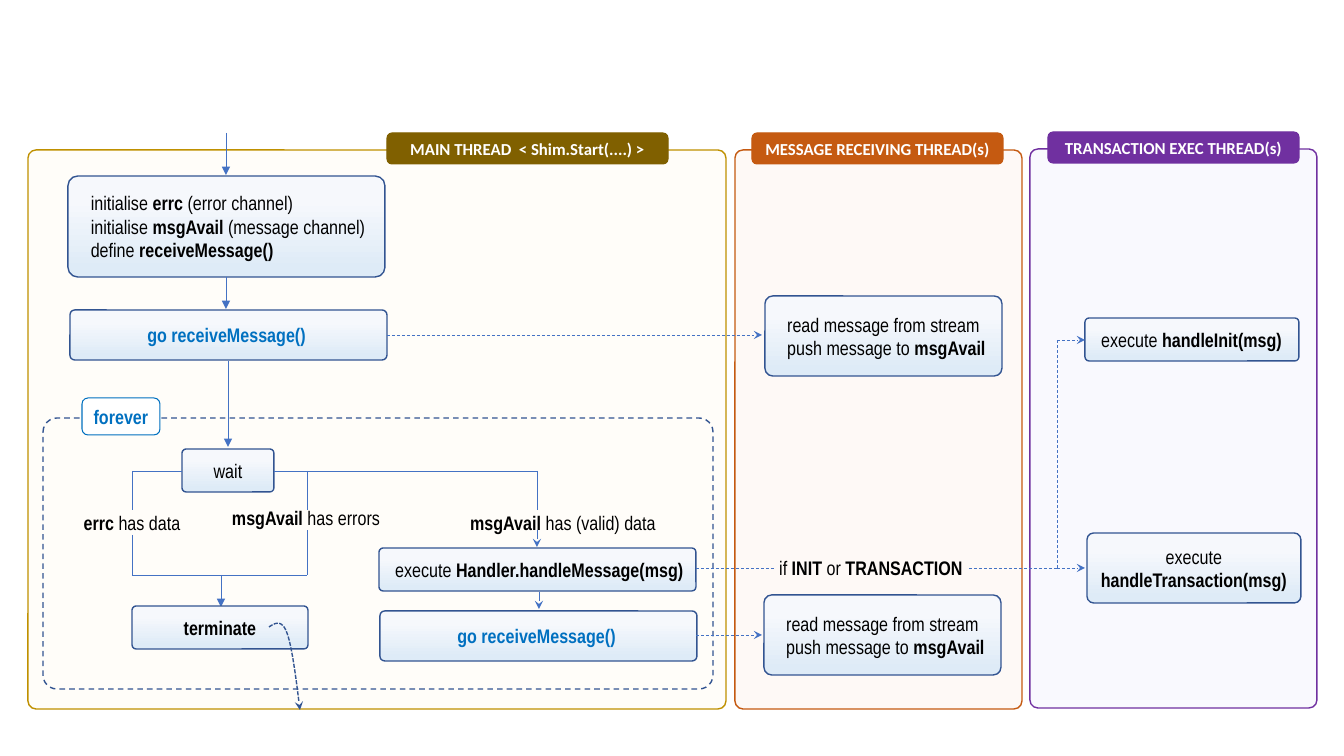
from dataclasses import dataclass

from lxml import etree
from pptx import Presentation
from pptx.dml.color import RGBColor
from pptx.enum.dml import MSO_LINE
from pptx.enum.shapes import MSO_CONNECTOR, MSO_SHAPE
from pptx.enum.text import MSO_ANCHOR, PP_ALIGN
from pptx.oxml.ns import qn
from pptx.util import Emu, Pt

ROUNDED = MSO_SHAPE.ROUNDED_RECTANGLE
STRAIGHT = MSO_CONNECTOR.STRAIGHT
DASH, FINE_DASH = MSO_LINE.DASH, MSO_LINE.SQUARE_DOT
LEFT, CENTER, MIDDLE = PP_ALIGN.LEFT, PP_ALIGN.CENTER, MSO_ANCHOR.MIDDLE
EMU_PER_PX = 914400 / 100.8


@dataclass(frozen=True)
class Theme:
    body_font: str = "Arial Narrow"
    tab_font: str = "Calibri"
    body_size: int = 14
    tab_size: int = 12
    ink: str = "000000"
    white: str = "FFFFFF"
    accent: str = "0070C0"
    flow: str = "4472C4"
    outline: str = "325491"
    step_stops: tuple = ((0.24, "F6F8FC"), (0.92, "DEEBF7"))
    main: tuple = ("FFF2CC", "BF9000", "806000")
    receiving: tuple = ("F8CBAD", "C55A11", "C55A11")
    transaction: tuple = ("C5C8F7", "7030A0", "7030A0")


THEME = Theme()
READ_MESSAGE = ("read message from stream", "push message to **msgAvail**")


def px(length):
    return Emu(round(length * EMU_PER_PX))


def rgb(value):
    return RGBColor.from_string(value)


def style_line(line, color, width, dash=None):
    line.color.rgb = rgb(color)
    line.width = Pt(width)
    if dash:
        line.dash_style = dash


def add_arrowhead(shape, kind):
    etree.SubElement(shape.line._get_or_add_ln(), qn("a:tailEnd"), type=kind)


def write(shape, lines, color, align=CENTER, text_left=0, font=THEME.body_font,
          size=THEME.body_size):
    """Fill a shape with lines of text; parts between ** are bold."""
    frame = shape.text_frame
    frame.word_wrap = True
    frame.vertical_anchor = MIDDLE
    frame.margin_left = px(text_left)
    frame.margin_right = frame.margin_top = frame.margin_bottom = 0
    for index, line in enumerate(lines):
        paragraph = frame.paragraphs[0] if index == 0 else frame.add_paragraph()
        paragraph.alignment = align
        paragraph.font.name = font
        paragraph.font.size = Pt(size)
        paragraph.font.color.rgb = rgb(color)
        for part, words in enumerate(line.split("**")):
            if words:
                run = paragraph.add_run()
                run.text = words
                run.font.bold = part % 2 == 1


class Region:
    """Draws parts at px offsets from the top left corner of its box."""

    def __init__(self, slide, box):
        self.shapes = slide.shapes
        self.left, self.top, self.width, self.height = box

    def place(self, x, y):
        return px(self.left + x), px(self.top + y)

    def rounded(self, box, radius, color, width=1, fill=None, dash=None):
        x, y, w, h = box
        shape = self.shapes.add_shape(ROUNDED, *self.place(x, y), px(w), px(h))
        shape.shadow.inherit = False
        shape.adjustments[0] = radius / min(w, h)
        style_line(shape.line, color, width, dash)
        if fill:
            shape.fill.solid()
            shape.fill.fore_color.rgb = rgb(fill)
        else:
            shape.fill.background()
        return shape

    def panel(self, title, colors, tab_x, tab_width):
        tint, border, tab_color = colors
        back = self.rounded((0, 0, self.width, self.height), 8, border, fill=tint)
        color = back.fill._xPr.find(qn("a:solidFill"))[0]
        etree.SubElement(color, qn("a:alpha"), val="10000")
        tab = self.rounded((tab_x, -17, tab_width, 31), 5, tab_color, 0.75, tab_color)
        write(tab, [f"**{title}**"], THEME.white, font=THEME.tab_font, size=THEME.tab_size)

    def step(self, box, lines, text_left=None, color=THEME.ink):
        """A gradient box; its text is centred unless text_left is given."""
        shape = self.rounded(box, 0.096 * box[3], THEME.outline)
        shape.fill.gradient()
        shape.fill.gradient_angle = 270
        for stop, (position, stop_color) in zip(shape.fill.gradient_stops, THEME.step_stops):
            stop.position = position
            stop.color.rgb = rgb(stop_color)
        if text_left is None:
            write(shape, lines, color)
        else:
            write(shape, lines, color, LEFT, text_left)

    def label(self, box, text):
        x, y, w, h = box
        write(self.shapes.add_textbox(*self.place(x, y), px(w), px(h)), [text], THEME.ink)

    def route(self, *points, head=None, dash=None):
        """Join the points by straight lines, with any arrowhead at the last."""
        for start, end in zip(points, points[1:]):
            connector = self.shapes.add_connector(
                STRAIGHT, *self.place(*start), *self.place(*end))
            style_line(connector.line, THEME.flow, 0.5, dash)
            etree.SubElement(connector._element.spPr, qn("a:effectLst"))
        if head:
            add_arrowhead(connector, head)

    def curve(self, points, samples=12):
        """Draw chained cubic Bezier curves as a dashed arrow."""
        builder = self.shapes.build_freeform(*self.place(*points[0]), scale=1.0)
        vertices = []
        for first in range(0, len(points) - 1, 3):
            controls = points[first:first + 4]
            for sample in range(1, samples + 1):
                t = sample / samples
                weights = ((1 - t) ** 3, 3 * t * (1 - t) ** 2, 3 * t * t * (1 - t), t ** 3)
                vertices.append(self.place(*(
                    sum(weight * point[axis] for weight, point in zip(weights, controls))
                    for axis in (0, 1))))
        builder.add_line_segments(vertices, close=False)
        shape = builder.convert_to_shape()
        shape.shadow.inherit = False
        shape.fill.background()
        style_line(shape.line, THEME.outline, 1, FINE_DASH)
        add_arrowhead(shape, "stealth")


def main_thread(slide, box):
    region = Region(slide, box)
    region.panel("MAIN THREAD  < Shim.Start(....) >", THEME.main, 359, 281)
    region.route((198, -17), (198, 25), head="triangle")
    region.step((40, 26, 317, 101), (
        "initialise **errc** (error channel)",
        "initialise **msgAvail** (message channel)",
        "define **receiveMessage()**"), 20)
    region.route((198, 127), (198, 159), head="triangle")
    region.rounded((15, 268, 670, 271), 14, THEME.outline, dash=DASH)
    for x, y in ((42, 160), (352, 461)):
        region.step((x, y, 317, 50), ["**go receiveMessage()**"], 76, THEME.accent)
    region.route((200, 211), (200, 297), head="triangle")
    forever = region.rounded((54, 248, 78, 37), 6, THEME.accent, 0.75, THEME.white)
    write(forever, ["**forever**"], THEME.accent)

    region.step((154, 299, 92, 43), ["wait"])
    region.route((154, 321), (104, 321), (104, 360))
    region.route((246, 321), (509, 321), (509, 360))
    region.route((279, 321), (279, 360))
    region.label((45, 356, 118, 34), "**errc** has data")
    region.label((195, 351, 166, 34), "**msgAvail** has errors")
    region.label((433, 356, 204, 34), "**msgAvail** has (valid) data")

    region.route((509, 380), (509, 397), head="stealth")
    region.step((351, 398, 317, 43), ["execute **Handler.handleMessage(msg)**"], 15)
    region.route((511, 442), (511, 459), head="stealth")
    region.route((104, 385), (104, 425), (279, 425), (279, 380))
    region.route((193, 425), (193, 457), head="triangle")
    region.step((104, 456, 176, 43), ["**terminate**"])
    region.curve(((241, 477), (247, 473), (254, 469), (259, 483),
                  (264, 496), (268, 528), (272, 560)))


def receiving_thread(slide, box):
    region = Region(slide, box)
    region.panel("MESSAGE RECEIVING THREAD(s)", THEME.receiving, 17, 251)
    for x, y in ((30, 146), (29, 445)):
        region.step((x, y, 237, 80), READ_MESSAGE, 20)


def transaction_thread(slide, box):
    region = Region(slide, box)
    region.panel("TRANSACTION EXEC THREAD(s)", THEME.transaction, 18, 251)
    region.step((55, 169, 214, 43), ["execute **handleInit(msg)**"], 15)
    region.step((57, 384, 214, 70), ("execute", "**handleTransaction(msg)**"))


def thread_links(slide, box):
    region = Region(slide, box)
    region.route((387, 335), (762, 335), head="stealth", dash=DASH)
    region.route((696, 635), (762, 635), head="stealth", dash=DASH)
    region.route((696, 568), (775, 568), dash=DASH)
    region.label((769, 551, 204, 34), "if **INIT** or **TRANSACTION**")
    region.route((969, 568), (1057, 568), (1057, 340), (1085, 340), head="stealth", dash=DASH)
    region.route((1057, 568), (1085, 568), head="stealth", dash=DASH)


def main():
    presentation = Presentation()
    presentation.slide_width, presentation.slide_height = px(1344), px(756)
    slide = presentation.slides.add_slide(presentation.slide_layouts[6])
    transaction_thread(slide, (1030, 149, 287, 559))
    receiving_thread(slide, (735, 150, 287, 559))
    main_thread(slide, (28, 150, 698, 559))
    thread_links(slide, (0, 0, 1344, 756))
    presentation.save("out.pptx")


if __name__ == "__main__":
    main()
